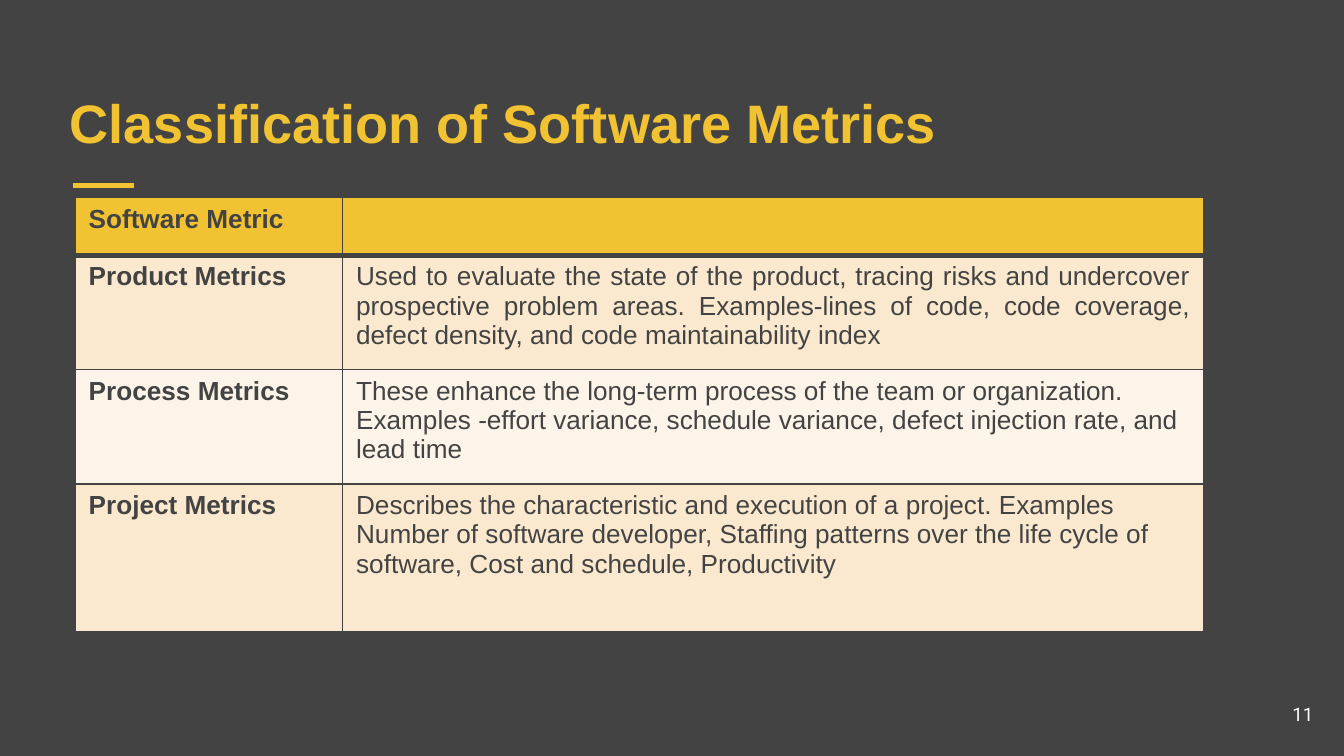
from lxml.etree import SubElement
from pptx import Presentation
from pptx.dml.color import RGBColor
from pptx.enum.shapes import MSO_CONNECTOR
from pptx.enum.text import MSO_ANCHOR, PP_ALIGN
from pptx.oxml.ns import qn
from pptx.util import Inches, Pt

COLORS = {
    "charcoal": "434343",
    "gold": "F1C232",
    "sand": "FAE9CE",
    "cream": "FCF4E8",
    "white": "FFFFFF",
}
SLIDE_WIDTH = 10
SLIDE_HEIGHT = SLIDE_WIDTH * 9 / 16
COLUMN_WIDTHS = [1.99, 6.41]
ROW_HEIGHTS = [0.43, 0.85, 0.85, 1.1]
METRICS = [
    ("Software Metric", ""),
    ("Product Metrics",
     "Used to evaluate the state of the product, tracing risks and undercover "
     "prospective problem areas. Examples-lines of code, code coverage, "
     "defect density, and code maintainability index"),
    ("Process Metrics",
     "These enhance the long-term process of the team or organization. "
     "Examples -effort variance, schedule variance, defect injection rate, "
     "and lead time"),
    ("Project Metrics",
     "Describes the characteristic and execution of a project. Examples "
     "Number of software developer, Staffing patterns over the life cycle of "
     "software, Cost and schedule, Productivity"),
]


def rgb(name):
    return RGBColor.from_string(COLORS[name])


def add_run(paragraph, text, size, color, font="Arial", bold=False):
    run = paragraph.add_run()
    run.text = text
    run.font.size = Pt(size)
    run.font.name = font
    run.font.bold = bold
    run.font.color.rgb = rgb(color)


def add_label(slide, box, anchor, align, text, size, color, **style):
    frame = slide.shapes.add_textbox(*map(Inches, box)).text_frame
    frame.word_wrap = True
    frame.vertical_anchor = anchor
    frame.margin_left = frame.margin_right = Inches(0.1)
    frame.margin_top = frame.margin_bottom = Inches(0.1)
    paragraph = frame.paragraphs[0]
    paragraph.alignment = align
    add_run(paragraph, text, size, color, **style)


def add_accent_rule(slide, left, right, top):
    rule = slide.shapes.add_connector(
        MSO_CONNECTOR.STRAIGHT, Inches(left), Inches(top), Inches(right), Inches(top))
    rule.line.color.rgb = rgb("gold")
    rule.line.width = Pt(3)
    SubElement(rule.element.spPr, qn("a:effectLst"))


def set_borders(cell, **widths):
    """Draw charcoal cell borders; widths maps L, R, T, B to points."""
    properties = cell._tc.get_or_add_tcPr()
    for index, (side, width) in enumerate(widths.items()):
        border = SubElement(properties, qn(f"a:ln{side}"), w=str(Pt(width)))
        fill = SubElement(border, qn("a:solidFill"))
        SubElement(fill, qn("a:srgbClr"), val=COLORS["charcoal"])
        properties.insert(index, border)  # borders precede the fill


def row_fill(row):
    if row == 0:
        return "gold"
    return "sand" if row % 2 else "cream"


def add_metrics_table(slide, left, top):
    table = slide.shapes.add_table(
        len(METRICS), len(COLUMN_WIDTHS), Inches(left), Inches(top),
        Inches(sum(COLUMN_WIDTHS)), Inches(sum(ROW_HEIGHTS))).table
    for column, width in zip(table.columns, COLUMN_WIDTHS):
        column.width = Inches(width)
    for row, height in zip(table.rows, ROW_HEIGHTS):
        row.height = Inches(height)

    for row, entries in enumerate(METRICS):
        for column, text in enumerate(entries):
            cell = table.cell(row, column)
            cell.fill.solid()
            cell.fill.fore_color.rgb = rgb(row_fill(row))
            set_borders(cell, L=1, R=1, T=1, B=3 if row == 0 else 1)
            if text:
                add_run(cell.text_frame.paragraphs[0], text, 14, "charcoal",
                        bold=column == 0)
    table.cell(1, 1).text_frame.paragraphs[0].alignment = PP_ALIGN.JUSTIFY


def main():
    deck = Presentation()
    deck.slide_width, deck.slide_height = Inches(SLIDE_WIDTH), Inches(SLIDE_HEIGHT)
    slide = deck.slides.add_slide(deck.slide_layouts[6])
    slide.background.fill.solid()
    slide.background.fill.fore_color.rgb = rgb("charcoal")

    add_accent_rule(slide, 0.54, 1, 1.38)
    add_label(slide, (0.42, 0.5, 9.15, 0.75), MSO_ANCHOR.BOTTOM, PP_ALIGN.LEFT,
              "Classification of Software Metrics", 29, "gold", bold=True)
    add_label(slide, (9.27, 5.1, 0.6, 0.43), MSO_ANCHOR.MIDDLE, PP_ALIGN.RIGHT,
              "11", 10, "white", font="Roboto")
    add_metrics_table(slide, 0.56, 1.47)
    deck.save("out.pptx")


if __name__ == "__main__":
    main()
